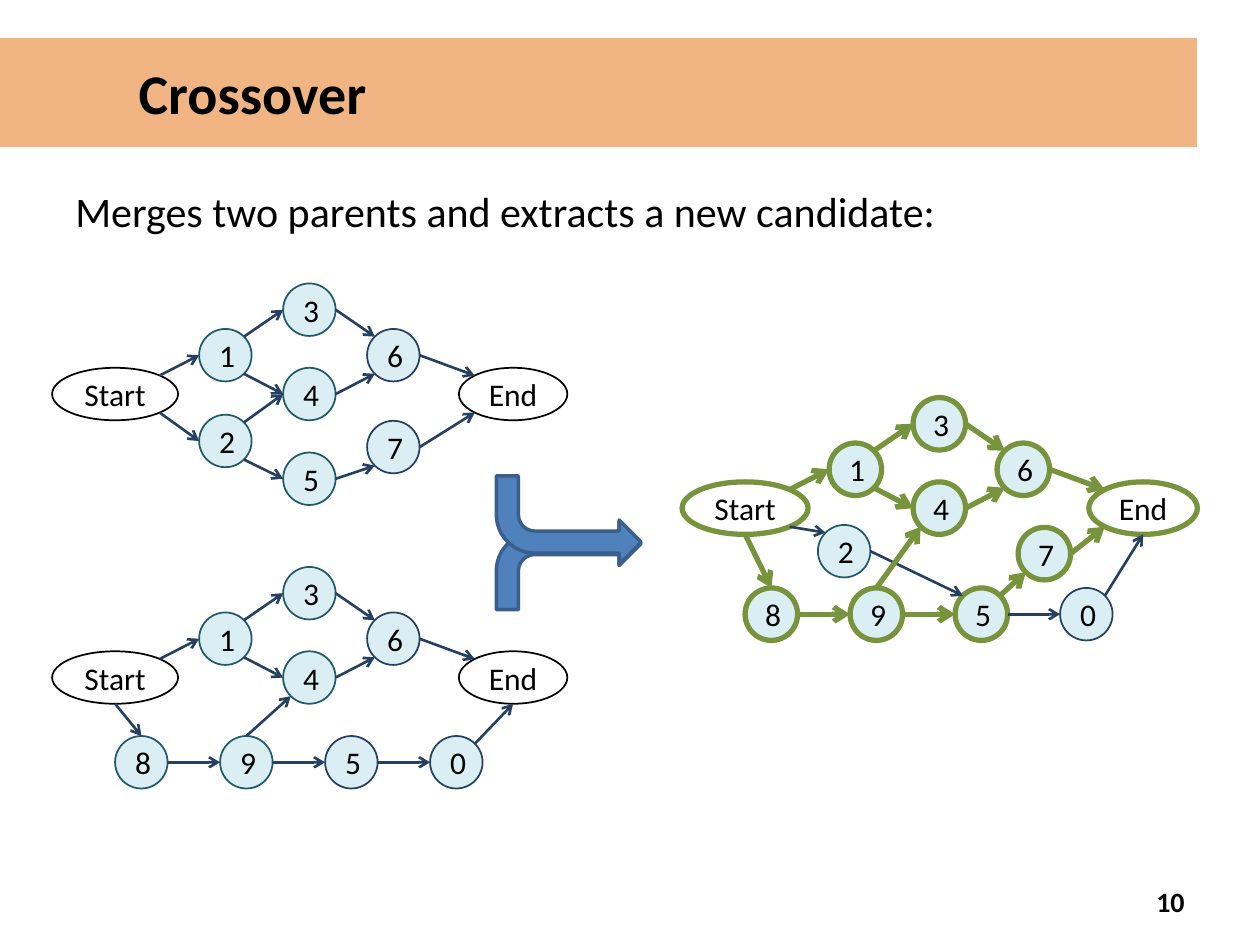
from math import cos, radians, sin

from lxml.etree import SubElement
from pptx import Presentation
from pptx.dml.color import RGBColor
from pptx.enum.shapes import MSO_CONNECTOR, MSO_SHAPE
from pptx.enum.text import MSO_ANCHOR, PP_ALIGN
from pptx.oxml.ns import qn
from pptx.util import Pt

COLORS = {
    "band": "E46C0A", "black": "000000", "white": "FFFFFF", "node": "DBEEF4",
    "teal": "215968", "navy": "254061", "green": "77933C",
    "merge": "4F81BD", "merge_line": "3A5F8C",
}
NODE = 30
START, END = (0, 48.2, 72), (232.4, 48.2, 62)
UPPER = {"1": (84, 26), "3": (132, 0), "4": (132, 48.2), "6": (180, 26)}

# An edge reads "node.site>node.site". Ellipse sites run counterclockwise from the top.
UPPER_EDGES = "Start.7>1.2 1.7>3.2 1.5>4.2 4.6>6.3 3.6>6.1 6.6>End.1"
LOWER_EDGES = "Start.4>8.0 8.6>9.2 9.6>5.2 9.0>4.3"
ZERO_EDGES = "5.6>0.2 0.7>End.4"


def rgb(name):
    """Return the named colour."""
    return RGBColor.from_string(COLORS[name])


def set_text(sp, text, size=18, bold=False, align=PP_ALIGN.LEFT,
             anchor=MSO_ANCHOR.MIDDLE, indent=7.2):
    """Put one formatted line of text in a shape."""
    tf = sp.text_frame
    tf.word_wrap = True
    tf.vertical_anchor = anchor
    tf.margin_left = Pt(indent)
    p = tf.paragraphs[0]
    p.alignment = align
    r = p.add_run()
    r.text = text
    r.font.name, r.font.size, r.font.bold = "Calibri", Pt(size), bold
    r.font.color.rgb = rgb("black")


def add_shape(s, kind, box, fill, line=None, width=1):
    """Add a flat preset shape in a box of points."""
    sp = s.shapes.add_shape(kind, *map(Pt, box))
    sp.shadow.inherit = False
    sp.fill.solid()
    sp.fill.fore_color.rgb = rgb(fill)
    if line:
        sp.line.color.rgb = rgb(line)
        sp.line.width = Pt(width)
    else:
        sp.line.fill.background()
    return sp


def add_title(s, box, text):
    """Add the translucent title band."""
    sp = add_shape(s, MSO_SHAPE.RECTANGLE, box, "band")
    color = sp.element.spPr.find(qn("a:solidFill"))[0]
    SubElement(color, qn("a:alpha"), val="50000")
    set_text(sp, text, size=32, bold=True, indent=79.2)


def add_label(s, box, text, **fmt):
    """Add a plain text box."""
    set_text(s.shapes.add_textbox(*map(Pt, box)), text, **fmt)


def site_point(sp, site):
    """Return the position of one of the eight sites of an ellipse."""
    angle = radians(90 + 45 * site)
    return (int(sp.left + sp.width / 2 * (1 + cos(angle))),
            int(sp.top + sp.height / 2 * (1 - sin(angle))))


def add_edge(s, nodes, edge, color, width):
    """Join two nodes with a glued arrow."""
    ends = [end.split(".") for end in edge.split(">")]
    ends = [(nodes[name], int(site)) for name, site in ends]
    cxn = s.shapes.add_connector(
        MSO_CONNECTOR.STRAIGHT, *site_point(*ends[0]), *site_point(*ends[1]))
    cxn.line.color.rgb = rgb(color)
    cxn.line.width = Pt(width)
    props = cxn.element.spPr
    SubElement(props.find(qn("a:ln")), qn("a:tailEnd"), type="arrow")
    SubElement(props, qn("a:effectLst"))
    glue = next(cxn.element.iter(qn("p:cNvCxnSpPr")))
    for tag, (sp, site) in zip(("a:stCxn", "a:endCxn"), ends):
        SubElement(glue, qn(tag), id=str(sp.shape_id), idx=str(site))


def add_graph(s, left, top, places, edges, navy="67", chosen="", chosen_edges=""):
    """Draw a graph at a corner; chosen nodes and edges are thick green."""
    nodes = {}
    for name, (x, y, *w) in {"Start": START, **places, "End": END}.items():
        line = "black" if w else "navy" if name in navy else "teal"
        width = 1
        if name in chosen.split():
            line, width = "green", 3
        box = (left + x, top + y, w[0] if w else NODE, NODE)
        sp = add_shape(s, MSO_SHAPE.OVAL, box, "white" if w else "node", line, width)
        set_text(sp, name, align=PP_ALIGN.CENTER)
        nodes[name] = sp
    for edge in edges.split():
        add_edge(s, nodes, edge, "navy", 1.5)
    for edge in chosen_edges.split():
        add_edge(s, nodes, edge, "green", 3)


def add_merge_arrow(s, left, top, width, height, step):
    """Draw two bent arrows that meet in one head."""
    for y, flip in ((top + step, "0"), (top, "1")):
        sp = add_shape(s, MSO_SHAPE.BENT_ARROW, (left, y, width, height),
                       "merge", "merge_line", 2)
        sp.element.spPr.find(qn("a:xfrm")).set("flipV", flip)


def lower_row(y):
    """Return the places of the evenly spaced lower nodes."""
    return {name: (36 + 60 * i, y) for i, name in enumerate("8950")}


def build():
    """Build the crossover slide."""
    prs = Presentation()
    prs.slide_width, prs.slide_height = Pt(720), Pt(540)
    s = prs.slides.add_slide(prs.slide_layouts[6])
    add_title(s, (0, 21.6, 684, 62.6), "Crossover")
    add_label(s, (516, 500.4, 168, 28.8), "10", size=16, bold=True,
              align=PP_ALIGN.RIGHT)
    add_label(s, (36, 102.2, 648, 41.8),
              "Merges two parents and extracts a new candidate:",
              size=24, anchor=MSO_ANCHOR.TOP)

    add_graph(s, 29.8, 162,
              {**UPPER, "2": (84, 75), "5": (132, 96.6), "7": (180, 78.5)},
              UPPER_EDGES + " Start.5>2.2 2.7>4.2 2.5>5.2 5.6>7.3 7.6>End.3")
    add_graph(s, 29.8, 324, {**UPPER, **lower_row(96.6)},
              " ".join((UPPER_EDGES, LOWER_EDGES, ZERO_EDGES)), navy="650")
    add_graph(s, 389.8, 227.2,
              {**UPPER, **lower_row(108.8), "2": (77.6, 72.8), "7": (192, 74.2)},
              ZERO_EDGES + " Start.5>2.1 2.6>5.1", navy="0",
              chosen="Start 1 3 4 5 6 7 8 9 End",
              chosen_edges=f"{UPPER_EDGES} {LOWER_EDGES} 5.7>7.3 7.6>End.3")
    add_merge_arrow(s, 283.6, 272, 82.8, 50.4, 26)
    prs.save("out.pptx")


build()
